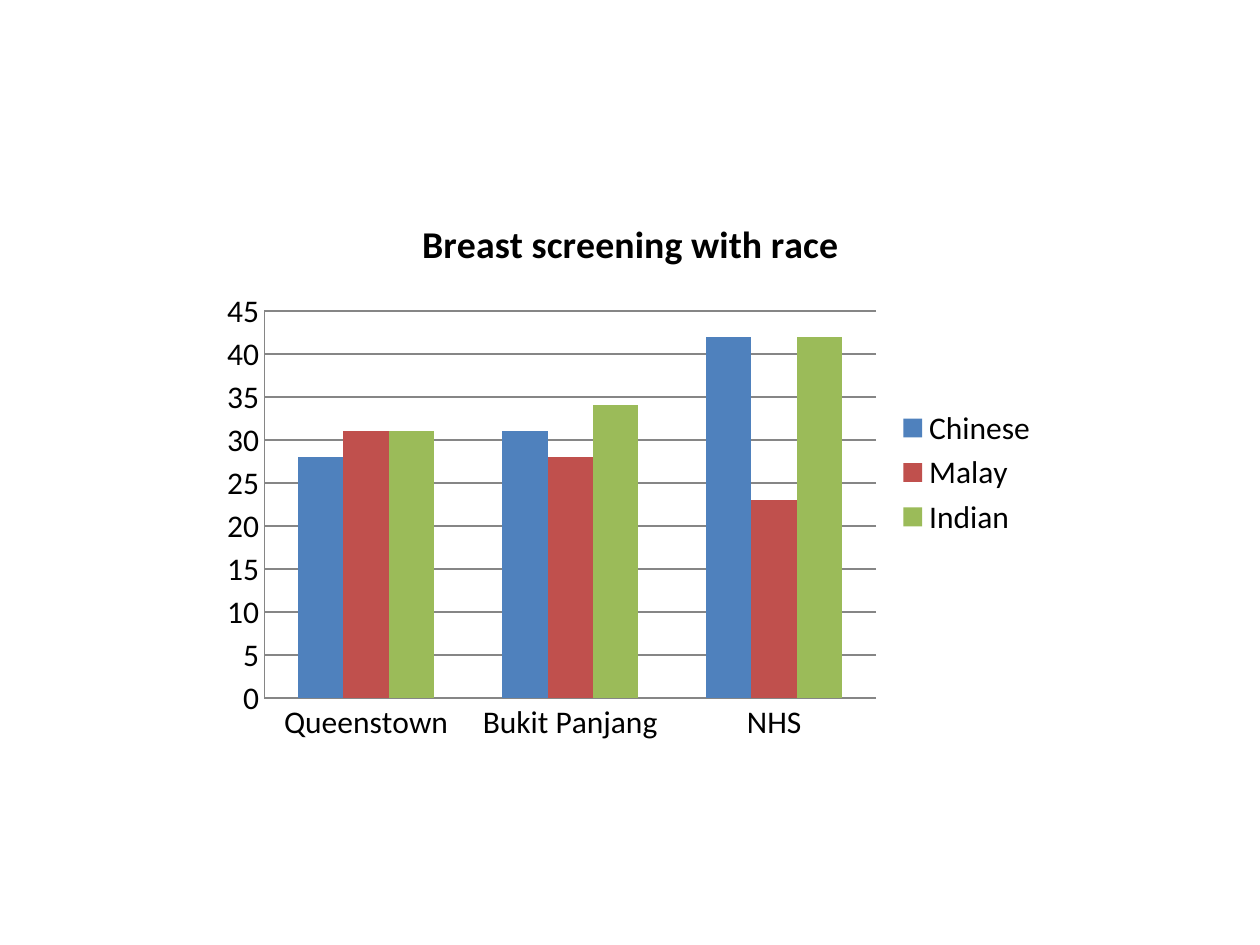
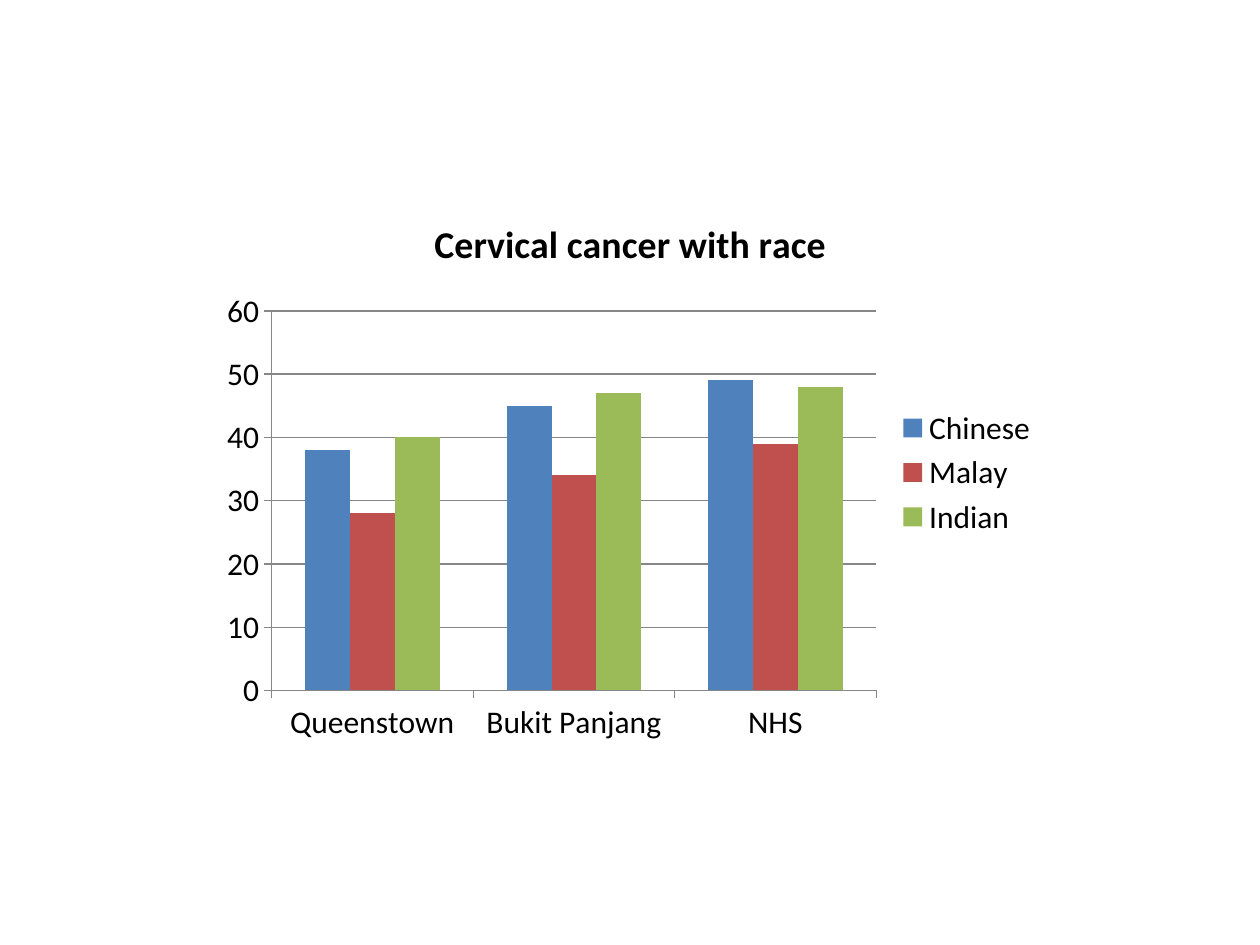
from pptx import Presentation
from pptx.chart.data import CategoryChartData
from pptx.dml.color import RGBColor
from pptx.enum.chart import XL_CHART_TYPE as ChartType
from pptx.enum.chart import XL_LEGEND_POSITION as LegendPosition
from pptx.enum.chart import XL_TICK_MARK as TickMark
from pptx.util import Inches, Pt

COLOURS = {
    "paper": "FFFFFF",
    "text": "000000",
    "line": "868686",
    "Chinese": "4F81BD",
    "Malay": "C0504D",
    "Indian": "9BBB59",
}
TEXT = {"name": "Calibri", "size": Pt(18), "bold": False}
TITLE = {"name": "Calibri", "size": Pt(21.6), "bold": True}
DISTRICTS = ["Queenstown", "Bukit Panjang", "NHS"]
CHART_BOX = (Inches(1.67), Inches(1.53), Inches(6.67), Inches(4.44))

CHARTS = [
    {
        "title": "Breast screening with race",
        "rates": {"Chinese": [28, 31, 42], "Malay": [31, 28, 23], "Indian": [31, 34, 42]},
        "scale": {"minimum_scale": 0, "maximum_scale": 45, "major_unit": 5},
        "tick": TickMark.NONE,
    },
    {
        "title": "Cervical cancer with race",
        "rates": {"Chinese": [38, 45, 49], "Malay": [28, 34, 39], "Indian": [40, 47, 48]},
        "scale": {"minimum_scale": 0, "maximum_scale": 60, "major_unit": 10},
        "tick": TickMark.OUTSIDE,
    },
]


def colour(name):
    return RGBColor.from_string(COLOURS[name])


def set_values(target, values):
    for name, value in values.items():
        setattr(target, name, value)


def format_font(font, values):
    set_values(font, values)
    font.color.rgb = colour("text")


def format_line(line):
    line.width = Pt(0.75)
    line.color.rgb = colour("line")


def format_title(chart, title):
    chart.has_title = True
    frame = chart.chart_title.text_frame
    frame.text = title
    format_font(frame.paragraphs[0].runs[0].font, TITLE)
    chart.chart_title.include_in_layout = False


def format_axes(chart, scale, tick):
    for axis in (chart.category_axis, chart.value_axis):
        set_values(axis, {"major_tick_mark": tick, "minor_tick_mark": TickMark.NONE})
        format_line(axis.format.line)
        format_font(axis.tick_labels.font, TEXT)
    set_values(chart.value_axis, scale)
    chart.value_axis.has_major_gridlines = True
    format_line(chart.value_axis.major_gridlines.format.line)


def format_legend(chart):
    chart.has_legend = True
    set_values(chart.legend, {"position": LegendPosition.RIGHT, "include_in_layout": False})
    format_font(chart.legend.font, TEXT)


def add_rate_chart(page, box, title, rates, scale, tick):
    data = CategoryChartData(number_format="General")
    data.categories = DISTRICTS
    for race, values in rates.items():
        data.add_series(race, values)
    chart = page.shapes.add_chart(ChartType.COLUMN_CLUSTERED, *box, data).chart
    format_font(chart.font, TEXT)
    format_title(chart, title)
    format_axes(chart, scale, tick)
    format_legend(chart)
    plot = chart.plots[0]
    set_values(plot, {"gap_width": 150, "overlap": 0, "vary_by_categories": False})
    for series in plot.series:
        series.format.fill.solid()
        series.format.fill.fore_color.rgb = colour(series.name)


def add_chart_page(deck, content):
    page = deck.slides.add_slide(deck.slide_layouts[6])
    page.background.fill.solid()
    page.background.fill.fore_color.rgb = colour("paper")
    add_rate_chart(page, CHART_BOX, **content)


deck = Presentation()
set_values(deck, {"slide_width": Inches(10), "slide_height": Inches(7.5)})
for content in CHARTS:
    add_chart_page(deck, content)
deck.save("out.pptx")
